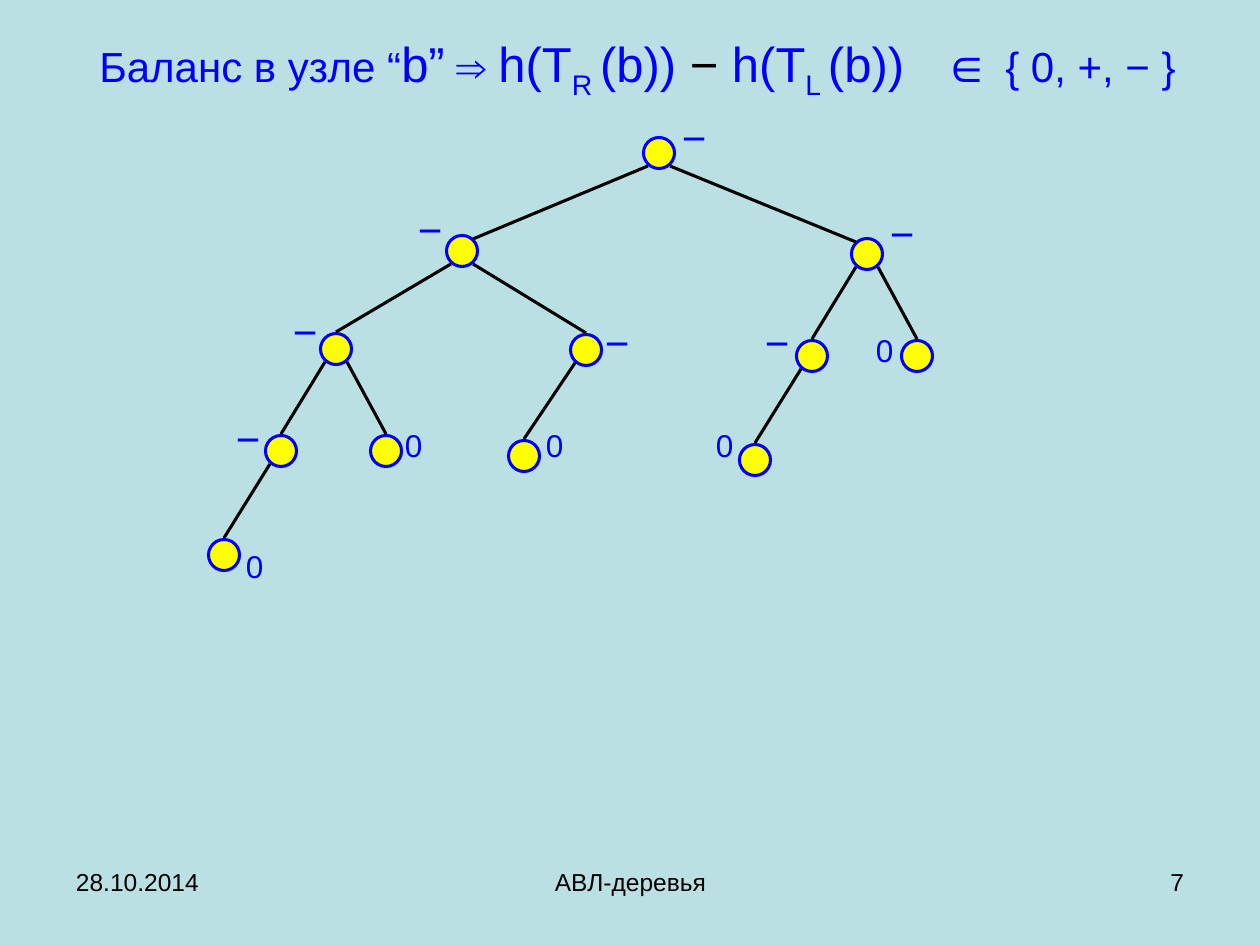
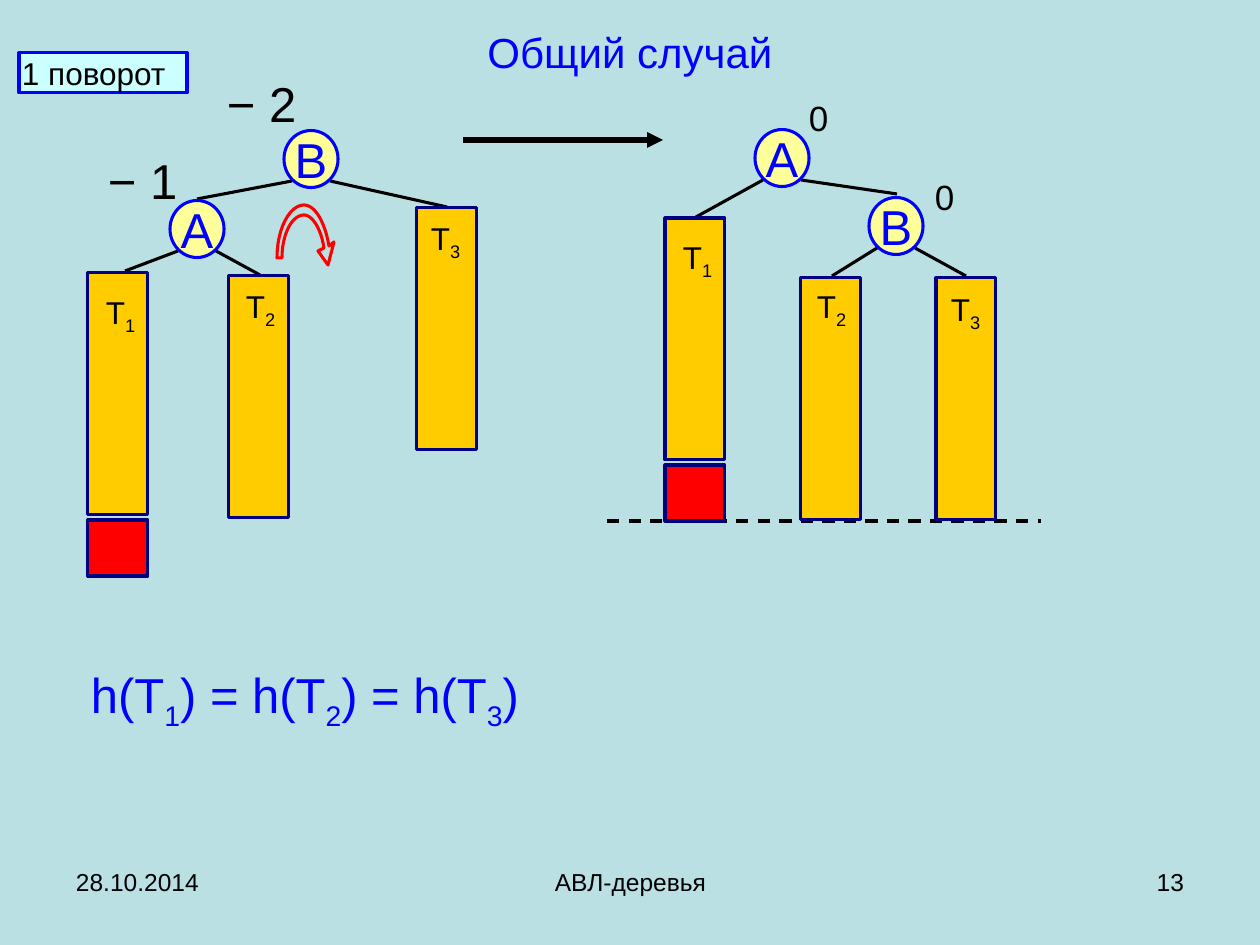
from pptx import Presentation
from pptx.dml.color import RGBColor
from pptx.enum.dml import MSO_LINE
from pptx.enum.shapes import MSO_CONNECTOR, MSO_SHAPE
from pptx.enum.text import MSO_ANCHOR, PP_ALIGN
from pptx.oxml.ns import qn
from pptx.util import Pt
from lxml import etree

PX = 914400 / 126
WIDTH, HEIGHT = 1260, 945
LEFT, CENTER, RIGHT = PP_ALIGN.LEFT, PP_ALIGN.CENTER, PP_ALIGN.RIGHT
TOP, MIDDLE = MSO_ANCHOR.TOP, MSO_ANCHOR.MIDDLE
OVAL, RECTANGLE = MSO_SHAPE.OVAL, MSO_SHAPE.RECTANGLE
STRAIGHT, DASH = MSO_CONNECTOR.STRAIGHT, MSO_LINE.DASH


class Theme:
    # Colours
    background = RGBColor(0xBB, 0xE0, 0xE3)
    ink = RGBColor(0x00, 0x00, 0x00)
    blue = RGBColor(0x00, 0x00, 0xFF)
    navy = RGBColor(0x00, 0x00, 0x80)
    red = RGBColor(0xFF, 0x00, 0x00)
    yellow = RGBColor(0xFF, 0xFF, 0x00)
    pale_yellow = RGBColor(0xFF, 0xFF, 0x99)
    gold = RGBColor(0xFF, 0xCC, 0x00)
    pale_cyan = RGBColor(0xCC, 0xFF, 0xFF)
    # Type and lines, in points
    font = "Arial"
    footer, label, balance, title, large, gap = 14, 18, 20, 24, 28, 40
    outline, arrow = 1.75, 3
    # Text insets, in px
    loose, tight = (13, 6), (3, 1)


def emu(px):
    return round(px * PX)


def sub(text):
    return text, {"baseline": "-25000"}


def bezier(start, first, second, end, steps=12):
    """Points along a cubic curve, without its start."""
    for step in range(1, steps + 1):
        t = step / steps
        weights = ((1 - t) ** 3, 3 * t * (1 - t) ** 2, 3 * t * t * (1 - t), t ** 3)
        yield tuple(sum(weight * point[axis] for weight, point
                        in zip(weights, (start, first, second, end)))
                    for axis in (0, 1))


class Deck:
    def __init__(self, theme):
        self.theme = theme
        self.presentation = Presentation()
        self.presentation.slide_width = emu(WIDTH)
        self.presentation.slide_height = emu(HEIGHT)
        self.slide = None

    def add_slide(self, number):
        self.slide = self.presentation.slides.add_slide(
            self.presentation.slide_layouts[6])
        fill = self.slide.background.fill
        fill.solid()
        fill.fore_color.rgb = self.theme.background
        for left, width, words, align in ((63, 294, "28.10.2014", LEFT),
                                          (431, 399, "АВЛ-деревья", CENTER),
                                          (903, 294, str(number), RIGHT)):
            self.text((left, 861, width, 66), words, self.theme.footer,
                      align=align, insets=self.theme.loose)

    def set_text(self, shape, content, size, color, align, anchor, insets):
        """Content is a string or a list of strings and (text, attributes)."""
        frame = shape.text_frame
        frame.word_wrap = True
        frame.vertical_anchor = anchor
        frame.margin_left = frame.margin_right = emu(insets[0])
        frame.margin_top = frame.margin_bottom = emu(insets[1])
        paragraph = frame.paragraphs[0]
        paragraph.alignment = align
        for part in [content] if isinstance(content, str) else content:
            words, changes = (part, {}) if isinstance(part, str) else part
            run = paragraph.add_run()
            run.text = words
            run.font.name = self.theme.font
            run.font.size = Pt(changes.get("size", size))
            run.font.color.rgb = changes.get("color", color)
            for attribute in ("baseline", "spc"):
                if attribute in changes:
                    run.font._element.set(attribute, changes[attribute])

    def text(self, box, content, size, color=Theme.ink, align=LEFT,
             anchor=TOP, insets=Theme.tight):
        shape = self.slide.shapes.add_textbox(*map(emu, box))
        self.set_text(shape, content, size, color, align, anchor, insets)

    def title(self, box, content):
        self.text(box, content, self.theme.title, self.theme.blue,
                  CENTER, MIDDLE, self.theme.loose)

    def paint(self, shape, fill, line):
        shape.shadow.inherit = False
        shape.fill.solid()
        shape.fill.fore_color.rgb = fill
        shape.line.color.rgb = line
        shape.line.width = Pt(self.theme.outline)

    def shape(self, kind, box, fill, line):
        shape = self.slide.shapes.add_shape(kind, *map(emu, box))
        self.paint(shape, fill, line)
        return shape

    def circle(self, center, width, height, fill):
        x, y = center
        return self.shape(OVAL, (x - width / 2, y - height / 2, width, height),
                          fill, self.theme.blue)

    def outline(self, points, fill, line):
        builder = self.slide.shapes.build_freeform(
            *map(emu, points[0]), scale=1.0)
        builder.add_line_segments([tuple(map(emu, point)) for point in points[1:]])
        self.paint(builder.convert_to_shape(), fill, line)

    def line(self, start, end, width=Theme.outline, dash=None, arrow=False):
        connector = self.slide.shapes.add_connector(
            STRAIGHT, *map(emu, (*start, *end)))
        connector.line.color.rgb = self.theme.ink
        connector.line.width = Pt(width)
        if dash:
            connector.line.dash_style = dash
        if arrow:
            etree.SubElement(connector.line._get_or_add_ln(),
                             qn("a:tailEnd"), type="triangle")
        etree.SubElement(connector._element.spPr, qn("a:effectLst"))

    def letter_node(self, center, letter):
        node = self.circle(center, 54, 57, self.theme.pale_yellow)
        self.set_text(node, letter, self.theme.large, self.theme.blue,
                      CENTER, MIDDLE, (0, 0))

    def branch(self, node, side, end):
        """Line from the lower left (-1) or right (1) of a letter node."""
        self.line((node[0] + 19 * side, node[1] + 22), end)

    def subtree(self, left, top, index, label_x, label_y, grown=False):
        self.shape(RECTANGLE, (left, top, 60, 242),
                   self.theme.gold, self.theme.navy)
        if grown:
            self.shape(RECTANGLE, (left, top + 247, 60, 56),
                       self.theme.red, self.theme.navy)
        self.text((left + label_x, top + label_y, 44, 45),
                  ["T", sub(index)], self.theme.label)


def balance_slide(deck):
    theme = deck.theme
    large = {"size": theme.large}
    lowered = {"size": theme.large, "baseline": "-25000"}
    deck.add_slide(7)
    deck.title((37, 18, 1201, 78), [
        "Баланс в узле “", ("b”", large), " ⇒ ", ("h(T", large),
        ("R ", lowered), ("(b)) ", large),
        ("− ", {"size": theme.large, "color": theme.ink}),
        ("h(T", large), ("L ", lowered), ("(b))", large),
        (" ", {"size": theme.gap, "spc": "1100"}),
        ("∈ ", large), "{ 0, +, − }"])

    # Tree: centre, parent, balance, corner of the balance label
    nodes = {
        "root": ((659, 153), None, "−", (679, 111)),
        "L": ((462, 251), "root", "−", (415, 203)),
        "R": ((867, 254), "root", "−", (887, 207)),
        "LL": ((336, 349), "L", "−", (290, 305)),
        "LR": ((586, 350), "L", "−", (602, 316)),
        "RL": ((812, 356), "R", "−", (762, 316)),
        "RR": ((917, 356), "R", "0", (873, 330)),
        "LLL": ((281, 451), "LL", "−", (233, 412)),
        "LLR": ((386, 451), "LL", "0", (402, 425)),
        "LRL": ((524, 456), "LR", "0", (543, 425)),
        "RLL": ((755, 460), "RL", "0", (713, 425)),
        "LLLL": ((224, 555), "LLL", "0", (243, 546)),
    }
    for (x, y), parent, balance, corner in nodes.values():
        deck.circle((x, y), 31, 31, theme.yellow)
        if parent:
            parent_x, parent_y = nodes[parent][0]
            side = 1 if x > parent_x else -1
            # The wide branches of the root end on the child's shoulder
            end = (x - 11 * side, y - 12) if parent == "root" else (x, y - 17)
            deck.line((parent_x + 11 * side, parent_y + 13), end)
        size, box = ((theme.title, (28, 53)) if balance == "−"
                     else (theme.label, (23, 40)))
        deck.text((*corner, *box), balance, size, theme.blue)


def rotation_slide(deck):
    theme = deck.theme
    deck.add_slide(13)
    deck.title((63, 24, 1134, 55), "Общий случай")
    deck.line((607, 521), (1041, 521), dash=DASH)

    # Before the rotation
    b_before, a_before = (311, 159), (197, 229)
    deck.branch(b_before, -1, (197, 199))
    deck.branch(b_before, 1, (447, 207))
    deck.branch(a_before, -1, (125, 271))
    deck.branch(a_before, 1, (260, 275))
    deck.subtree(88, 273, "1", 15, 19, grown=True)
    deck.subtree(229, 276, "2", 14, 10)
    deck.subtree(417, 208, "3", 11, 10)

    # After the rotation
    a_after, b_after = (782, 158), (896, 226)
    deck.branch(a_after, -1, (696, 217))
    deck.branch(a_after, 1, (897, 194))
    deck.branch(b_after, -1, (832, 276))
    deck.branch(b_after, 1, (966, 276))
    deck.subtree(665, 218, "1", 15, 19, grown=True)
    deck.subtree(801, 278, "2", 13, 8)
    deck.subtree(936, 278, "3", 12, 11)

    # Nodes and balances
    for center, letter in ((b_before, "B"), (a_before, "A"),
                           (a_after, "A"), (b_after, "B")):
        deck.letter_node(center, letter)
    for corner, balance in (((105, 150), "− 1"), ((224, 73), "− 2")):
        deck.text((*corner, 82, 62), balance, theme.large)
    for corner in ((932, 174), (806, 95)):
        deck.text((*corner, 30, 45), "0", theme.balance)

    # Arrows
    deck.line((463, 140), (663, 140), theme.arrow, arrow=True)
    turn = [(324, 248),
            *bezier((324, 248), (321, 228), (312, 215), (304, 215)),
            *bezier((304, 215), (292, 215), (282, 234), (282, 258)),
            (277, 258),
            *bezier((277, 258), (277, 228), (290, 205), (304, 205)),
            *bezier((304, 205), (315, 205), (325, 222), (329, 246)),
            (334, 242), (328, 265), (318, 251)]
    deck.outline(turn, theme.background, theme.red)

    # Caption and conclusion
    caption = deck.shape(RECTANGLE, (19, 53, 168, 40), theme.pale_cyan, theme.blue)
    deck.set_text(caption, "1 поворот", theme.label, theme.ink,
                  LEFT, TOP, theme.tight)
    deck.text((88, 664, 446, 71),
              ["h(T", sub("1"), ") = h(T", sub("2"), ") = h(T", sub("3"), ")"],
              theme.large, theme.blue)


def main():
    deck = Deck(Theme)
    balance_slide(deck)
    rotation_slide(deck)
    deck.presentation.save("out.pptx")


if __name__ == "__main__":
    main()
